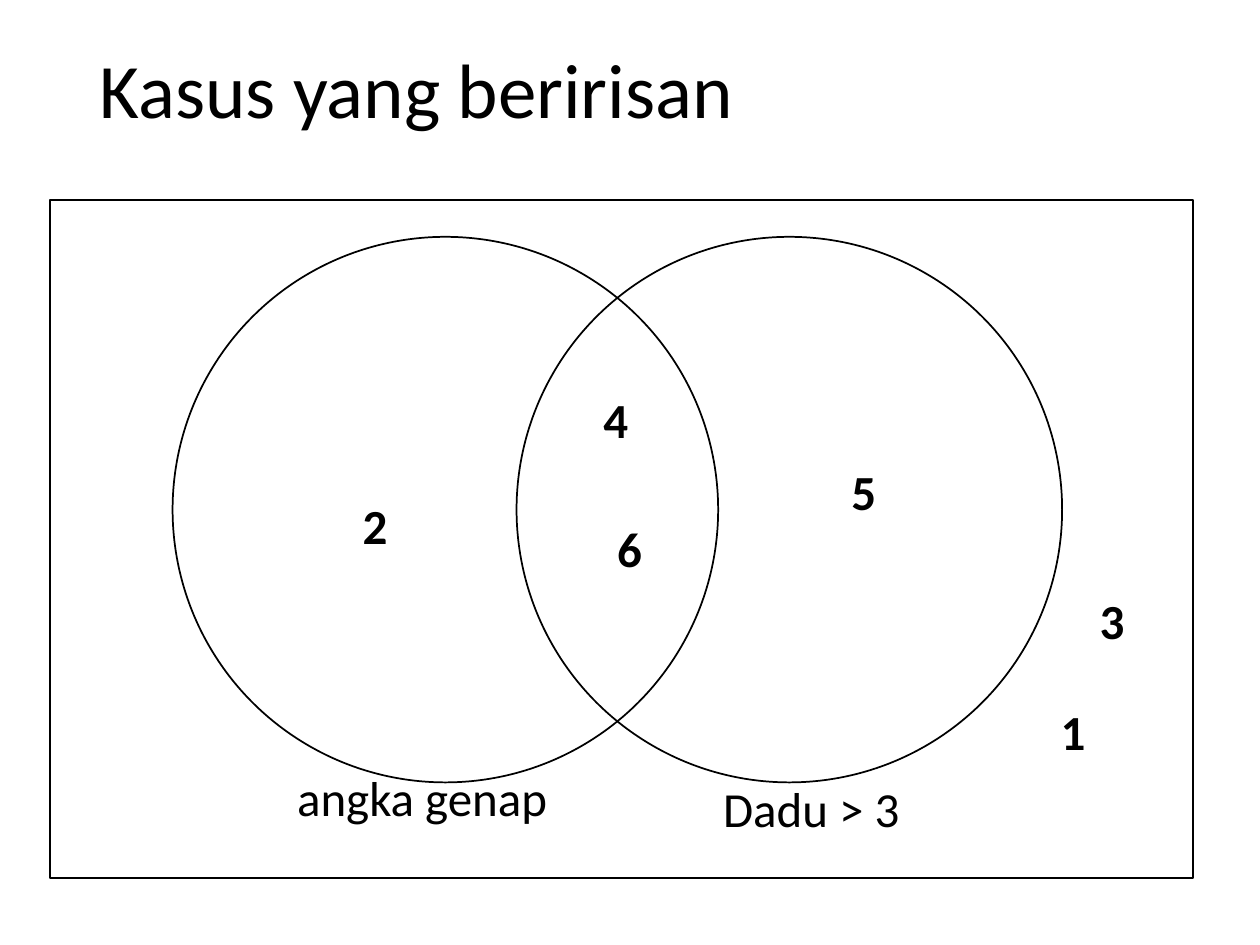
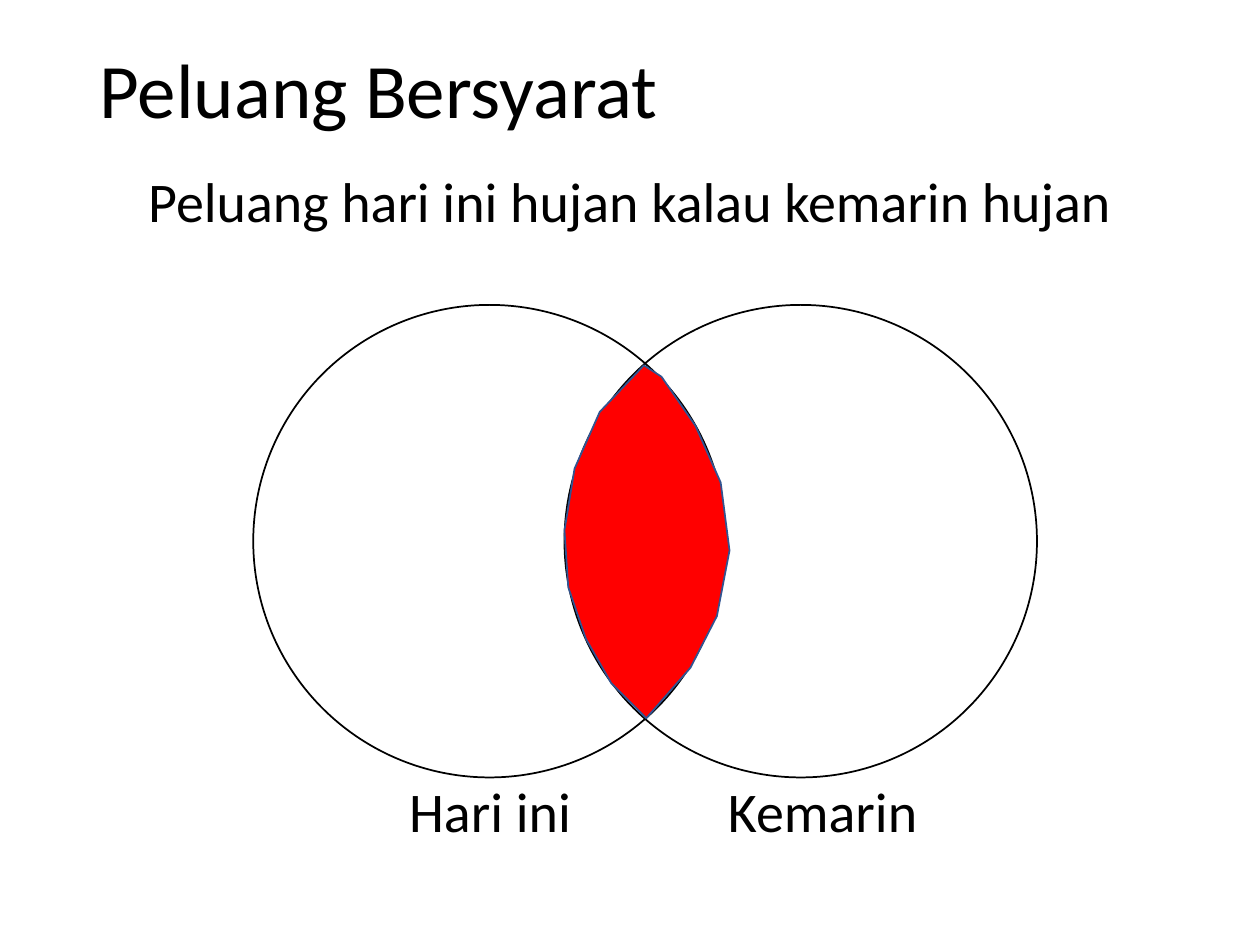
"""Build two Venn diagram slides on probability."""
from dataclasses import dataclass

from pptx import Presentation
from pptx.dml.color import RGBColor as RGB
from pptx.enum.shapes import MSO_SHAPE as Form
from pptx.enum.text import MSO_ANCHOR as Anchor, MSO_AUTO_SIZE as Fit, PP_ALIGN as Align
from pptx.util import Inches, Pt


@dataclass(frozen=True)
class Theme:
    font: str = "Calibri"
    ink: RGB = RGB(0, 0, 0)
    red: RGB = RGB(0xFF, 0, 0)
    blue: RGB = RGB(0x32, 0x54, 0x91)
    head: int = 44
    lead: int = 32
    note: int = 28
    edge: int = 1


TITLE = (0.69, 0.35, 8.62, 0.78)
LEAD = {"alignment": Align.CENTER, "line_spacing": 0.9, "space_before": Pt(10)}


def apply(item, form):
    for key, value in form.items():
        setattr(item, key, value)


class Deck:
    def __init__(self, theme):
        self.theme = theme
        self.prs = Presentation()
        apply(self.prs, {"slide_width": Inches(10), "slide_height": Inches(7.5)})
        self.slide = None

    def start(self, text):
        self.slide = self.prs.slides.add_slide(self.prs.slide_layouts[5])
        title = self.slide.shapes.title
        names = ("left", "top", "width", "height")
        apply(title, dict(zip(names, map(Inches, TITLE))))
        frame = {"vertical_anchor": Anchor.MIDDLE, "word_wrap": True}
        para = {"alignment": Align.LEFT, "line_spacing": 0.9}
        self.letter(title, text, self.theme.head, frame, para)

    def letter(self, shape, text, size, frame, para, bold=False):
        box = shape.text_frame
        apply(box, {"auto_size": Fit.NONE, **frame, "text": text})
        line = box.paragraphs[0]
        apply(line, para)
        font = line.runs[0].font
        apply(font, {"name": self.theme.font, "size": Pt(size), "bold": bold})
        font.color.rgb = self.theme.ink

    def label(self, text, x, y, w, h=0.57, bold=False):
        box = self.slide.shapes.add_textbox(*map(Inches, (x, y, w, h)))
        frame = {"word_wrap": False, "auto_size": Fit.SHAPE_TO_FIT_TEXT}
        self.letter(box, text, self.theme.note, frame, {}, bold)

    def lead(self, text, x, y, w, h):
        box = self.slide.shapes.add_textbox(*map(Inches, (x, y, w, h)))
        self.letter(box, text, self.theme.lead, {"word_wrap": True}, LEAD)

    def paint(self, shape, edge, fill=None):
        shape.shadow.inherit = False
        if fill is None:
            shape.fill.background()
        else:
            shape.fill.solid()
            shape.fill.fore_color.rgb = fill
        shape.line.color.rgb = edge
        shape.line.width = Pt(self.theme.edge)

    def outline(self, kind, *place):
        shape = self.slide.shapes.add_shape(kind, *map(Inches, place))
        self.paint(shape, self.theme.ink)

    def rings(self, lefts, top, size):
        for left in lefts:
            self.outline(Form.OVAL, left, top, size, size)

    def lens(self, points):
        cents = [(round(x * 100), round(y * 100)) for x, y in points]
        pen = self.slide.shapes.build_freeform(*cents[0], scale=Inches(0.01))
        pen.add_line_segments(cents[1:], close=True)
        self.paint(pen.convert_to_shape(), self.theme.blue, self.theme.red)


def dice(deck):
    deck.start("Kasus yang beririsan")
    deck.rings((1.37, 4.1), 1.88, 4.33)
    deck.label("angka genap", 2.26, 6.04, 2.21)
    deck.label("Dadu > 3", 5.64, 6.13, 1.62)
    deck.outline(Form.RECTANGLE, 0.4, 1.59, 9.07, 5.38)
    faces = {
        "5": (6.66, 3.61), "4": (4.69, 3.04), "6": (4.8, 4.07),
        "2": (2.78, 3.88), "1": (8.32, 5.52), "3": (8.63, 4.64),
    }
    for face, (x, y) in faces.items():
        deck.label(face, x, y, 0.4, bold=True)


def rain(deck):
    deck.start("Peluang Bersyarat")
    deck.lead("Peluang hari ini hujan kalau kemarin hujan", 0.69, 1.33, 8.62, 0.78)
    deck.rings((2.01, 4.48), 2.42, 3.75)
    for day, x in (("Hari ini", 2.82), ("Kemarin", 5.46)):
        deck.lead(day, x, 6.17, 2.14, 0.68)
    deck.lens([
        (5.11, 2.9), (4.76, 3.27), (4.56, 3.72), (4.48, 4.21), (4.51, 4.66),
        (4.65, 5.07), (4.85, 5.42), (5.13, 5.7), (5.48, 5.3), (5.69, 4.89),
        (5.79, 4.37), (5.72, 3.83), (5.52, 3.38), (5.25, 2.99),
    ])


def main():
    deck = Deck(Theme())
    dice(deck)
    rain(deck)
    deck.prs.save("out.pptx")


if __name__ == "__main__":
    main()
